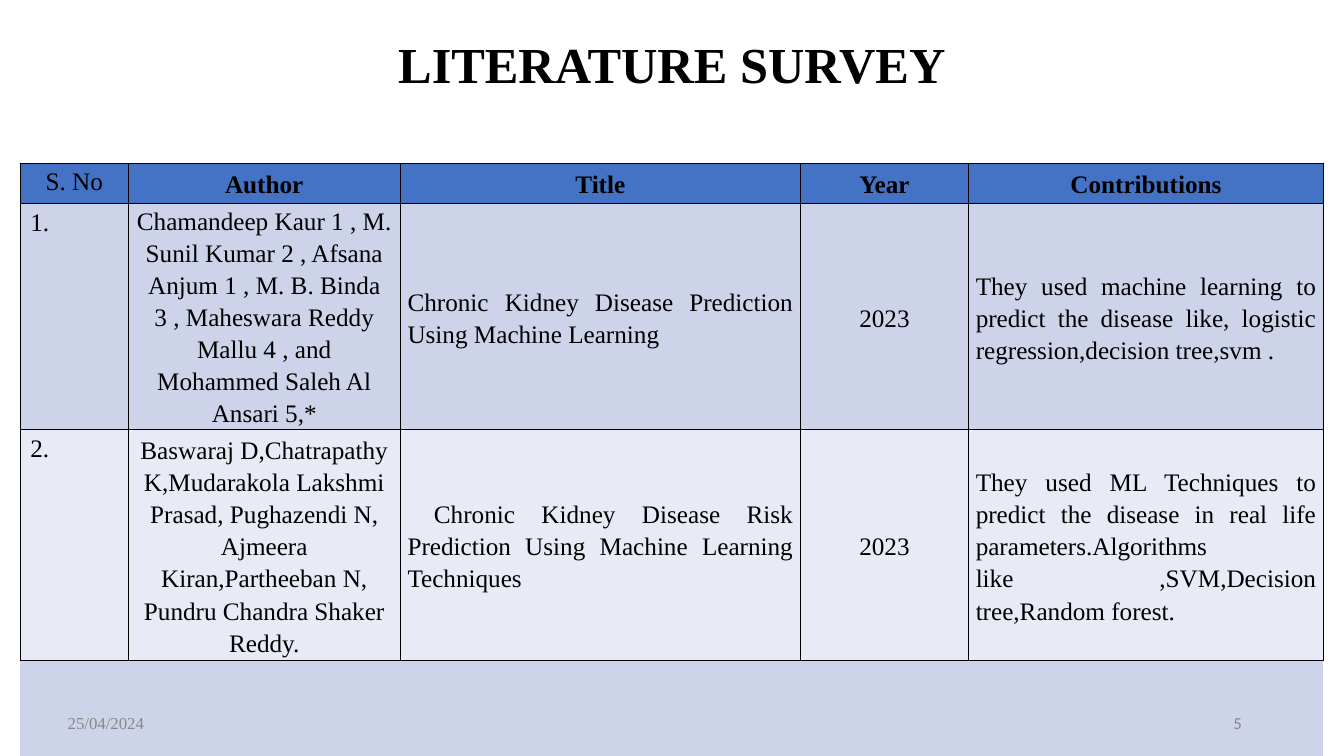
from pptx import Presentation, util as u
from pptx.dml.color import RGBColor
from pptx.enum import text
from pptx.oxml.ns import qn
from lxml import etree

LEFT, CENTER, RIGHT = text.PP_ALIGN.LEFT, text.PP_ALIGN.CENTER, text.PP_ALIGN.RIGHT
JUSTIFY = text.PP_ALIGN.JUSTIFY
TOP, MIDDLE = text.MSO_ANCHOR.TOP, text.MSO_ANCHOR.MIDDLE

HEADERS = ["S. No", "Author", "Title", "Year", "Contributions"]
PAPERS = [
    ["1.",
     "Chamandeep Kaur 1 , M. Sunil Kumar 2 , Afsana Anjum 1 , M. B. Binda 3 , "
     "Maheswara Reddy Mallu 4 , and Mohammed Saleh Al Ansari 5,*",
     "Chronic Kidney Disease Prediction Using Machine Learning",
     "2023",
     "They used machine learning to predict the disease like, logistic "
     "regression,decision tree,svm ."],
    ["2.",
     "Baswaraj D,Chatrapathy K,Mudarakola Lakshmi Prasad, Pughazendi N, "
     "Ajmeera Kiran,Partheeban N, Pundru Chandra Shaker Reddy.",
     " Chronic Kidney Disease Risk Prediction Using Machine Learning Techniques",
     "2023",
     "They used ML Techniques to predict the disease in real life "
     "parameters.Algorithms like  ,SVM,Decision tree,Random forest."],
]
COL_WIDTHS = [2.72, 6.86, 10.08, 4.24, 8.94]
ROW_HEIGHTS = [1.02, 5.7, 5.82, 2.4]
ROW_FILLS = ["4472C4", "CDD4EA", "E8EBF5", "CDD4EA"]
COL_ALIGNS = [JUSTIFY, CENTER, JUSTIFY, CENTER, JUSTIFY]


def rgb(value):
    return RGBColor.from_string(value)


class Deck:
    font = "Times New Roman"
    ink = "000000"
    muted = "888888"

    def __init__(self, width, height):
        self.prs = Presentation()
        self.prs.slide_width, self.prs.slide_height = u.Cm(width), u.Cm(height)
        self.s = self.prs.slides.add_slide(self.prs.slide_layouts[5])

    def style(self, p, size, color, align, bold=False, font=None, spacing=None):
        p.alignment = align
        p.line_spacing = spacing
        p.font.name = font or self.font
        p.font.size = u.Pt(size)
        p.font.bold = bold
        p.font.color.rgb = rgb(color)

    def title(self, words, left, top, width, height):
        sp = self.s.shapes.title
        sp.left, sp.top, sp.width, sp.height = map(u.Cm, (left, top, width, height))
        tf = sp.text_frame
        tf.text = words
        tf.vertical_anchor = MIDDLE
        self.style(tf.paragraphs[0], 36, self.ink, CENTER, bold=True, spacing=0.9)

    def label(self, words, left, top, width, height, align, font=None):
        sp = self.s.shapes.add_textbox(*map(u.Cm, (left, top, width, height)))
        tf = sp.text_frame
        tf.word_wrap = True
        tf.vertical_anchor = MIDDLE
        tf.text = words
        self.style(tf.paragraphs[0], 12, self.muted, align, font=font)

    def borders(self, cell, visible):
        tc_pr = cell._tc.get_or_add_tcPr()
        for i, side in enumerate(("lnL", "lnR", "lnT", "lnB")):
            ln = etree.Element(qn(f"a:{side}"), w=str(u.Pt(1)))
            if side in visible:
                fill = etree.SubElement(ln, qn("a:solidFill"))
                etree.SubElement(fill, qn("a:srgbClr"), val=self.ink)
            else:
                etree.SubElement(ln, qn("a:noFill"))
            tc_pr.insert(i, ln)

    def cell(self, cell, words, align, numbered, bold, anchor):
        cell.text = words
        cell.vertical_anchor = anchor
        if not numbered:
            cell.margin_left = cell.margin_right = u.Cm(0.18)
            cell.margin_top = cell.margin_bottom = 0
        self.style(cell.text_frame.paragraphs[0], 18, self.ink, align, bold,
                   spacing=None if numbered else 1.15)

    def table(self, left, top, rows):
        size = (sum(COL_WIDTHS), sum(ROW_HEIGHTS))
        frame = self.s.shapes.add_table(len(ROW_HEIGHTS), len(COL_WIDTHS),
                                        *map(u.Cm, (left, top, *size)))
        table = frame.table
        for col, width in zip(table.columns, COL_WIDTHS):
            col.width = u.Cm(width)
        last = len(ROW_HEIGHTS) - 1
        for r, (height, fill) in enumerate(zip(ROW_HEIGHTS, ROW_FILLS)):
            table.rows[r].height = u.Cm(height)
            for c in range(len(COL_WIDTHS)):
                cell = table.cell(r, c)
                cell.fill.solid()
                cell.fill.fore_color.rgb = rgb(fill)
                self.borders(cell, ("lnT",) if r == last else ("lnL", "lnR", "lnT", "lnB"))
                if r < last:
                    top_aligned = c == 0 or (r, c) == (1, 1)
                    self.cell(cell, rows[r][c], CENTER if r == 0 else COL_ALIGNS[c],
                              c == 0, r == 0 and c > 0, TOP if top_aligned else MIDDLE)
        table.cell(last, 0).merge(table.cell(last, len(COL_WIDTHS) - 1))


def main():
    deck = Deck(33.87, 19.05)
    deck.title("LITERATURE SURVEY", 0, 0.03, 33.87, 3.35)
    deck.table(0.51, 4.11, [HEADERS] + PAPERS)
    deck.label("5", 23.93, 17.7, 7.62, 1.02, RIGHT, font="Calibri")
    deck.label("25/04/2024", 0.51, 17.7, 4.32, 1.02, CENTER)
    deck.prs.save("out.pptx")


if __name__ == "__main__":
    main()
